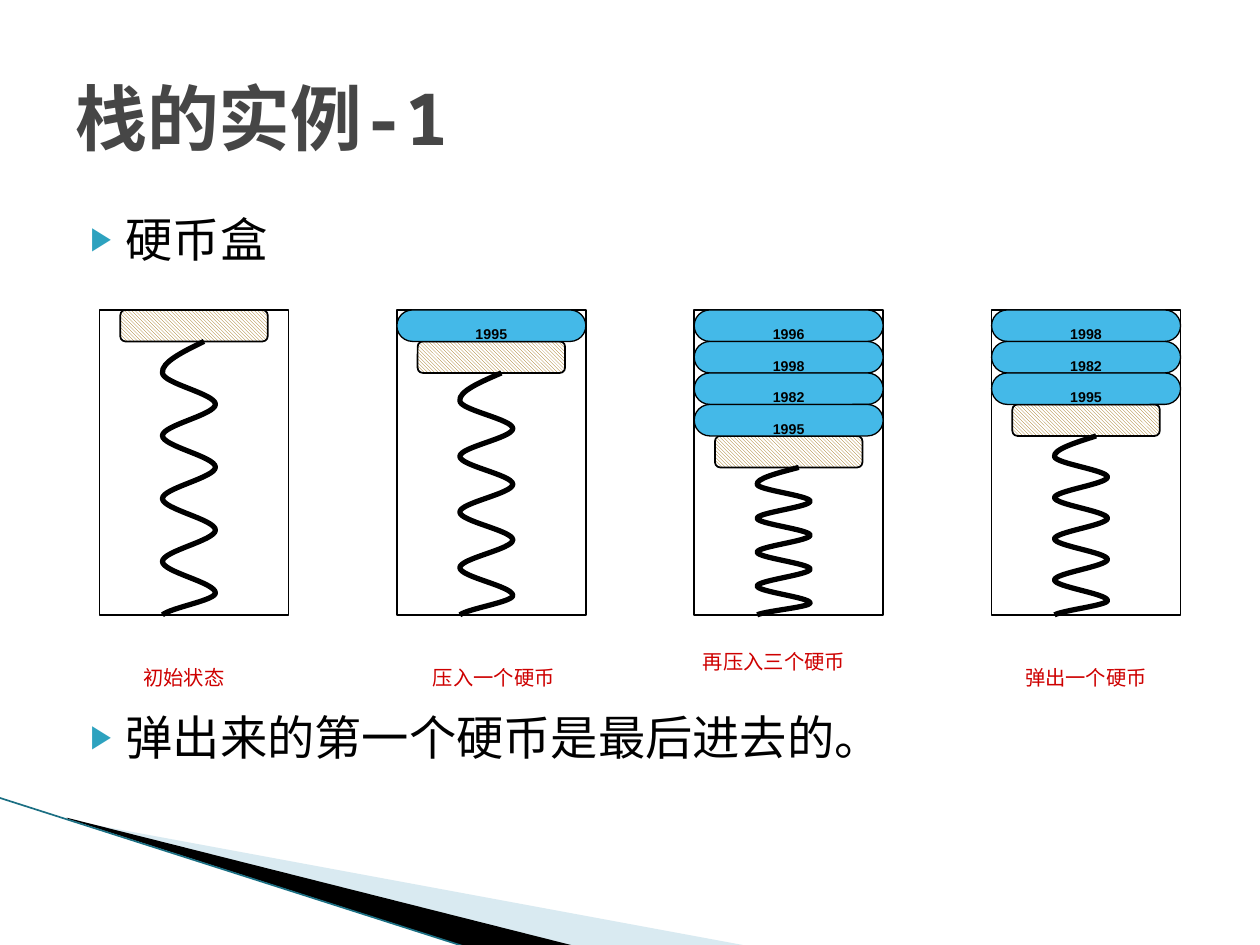
from dataclasses import dataclass

from lxml import etree
from pptx import Presentation
from pptx.dml.color import RGBColor
from pptx.enum.dml import MSO_PATTERN
from pptx.enum.shapes import MSO_CONNECTOR, MSO_SHAPE
from pptx.enum.text import MSO_ANCHOR, PP_ALIGN
from pptx.oxml.ns import qn
from pptx.util import Inches, Pt

RECTANGLE, ROUNDED = MSO_SHAPE.RECTANGLE, MSO_SHAPE.ROUNDED_RECTANGLE
STRAIGHT = MSO_CONNECTOR.STRAIGHT
HATCH = MSO_PATTERN.DARK_DOWNWARD_DIAGONAL
TOP, MIDDLE = MSO_ANCHOR.TOP, MSO_ANCHOR.MIDDLE
LEFT, CENTER = PP_ALIGN.LEFT, PP_ALIGN.CENTER

BLACK = RGBColor(0x00, 0x00, 0x00)
WHITE = RGBColor(0xFF, 0xFF, 0xFF)
GRAY = RGBColor(0x46, 0x46, 0x46)
RED = RGBColor(0xCE, 0x00, 0x00)
COIN_BLUE = RGBColor(0x44, 0xB9, 0xE8)
HATCH_BROWN = RGBColor(0x99, 0x66, 0x00)
PALE_BLUE = RGBColor(0xA0, 0xCB, 0xDC)
TEAL = RGBColor(0x1B, 0x6F, 0x83)
BULLET_TEAL = RGBColor(0x2D, 0xA2, 0xBF)

HEADING_FONT, LABEL_FONT = "Noto Sans Mono", "Arial"

# Coin box geometry in inches
FIRST_LEFT, BOX_STEP = 0.79, 2.36
BOX_TOP, BOX_WIDTH, BOX_HEIGHT = 2.46, 1.5, 2.42
COIN_HEIGHT, PLATE_WIDTH = 0.25, 1.17
SPRING_INSET = 0.49
SPRING_NEAR, SPRING_FAR = 0.01, 0.43
SPRING_TURN = 0.115  # share of the spring height in one half turn

Point = tuple[float, float]


@dataclass(frozen=True)
class Caption:
    text: str
    left: float
    width: float = 1.88
    top: float = 5.04
    height: float = 0.44


@dataclass(frozen=True)
class CoinBox:
    coins: tuple[str, ...]
    caption: Caption


COIN_BOXES = (
    CoinBox((), Caption("初始状态", 0.8, 1.32)),
    CoinBox(("1995",), Caption("压入一个硬币", 2.98)),
    CoinBox(("1996", "1998", "1982", "1995"),
            Caption("再压入三个硬币", 5.06, 2.17, 4.92, 0.77)),
    CoinBox(("1998", "1982", "1995"), Caption("弹出一个硬币", 7.68)),
)


def write_text(para, text: str, *, size: float, font: str, color: RGBColor,
               bold: bool = False, align=LEFT, subscript: bool = False) -> None:
    para.alignment = align
    span = para.add_run()
    span.text = text
    span.font.size, span.font.name = Pt(size), font
    span.font.bold, span.font.color.rgb = bold, color
    if subscript:
        span.font._element.set("baseline", "-25000")


def prepare_frame(shape, wrap: bool = True, anchor=TOP):
    frame = shape.text_frame
    frame.word_wrap, frame.vertical_anchor = wrap, anchor
    return frame


def add_text_box(page, left: float, top: float, width: float, height: float, **layout):
    box = page.shapes.add_textbox(Inches(left), Inches(top), Inches(width), Inches(height))
    return prepare_frame(box, **layout)


def write_bullet(para, text: str, space_before: float) -> None:
    write_text(para, text, size=27, font=HEADING_FONT, color=BLACK)
    para.space_before = Pt(space_before)
    settings = para._p.get_or_add_pPr()
    settings.set("marL", str(Inches(0.4)))
    settings.set("indent", str(Inches(-0.28)))
    color = etree.SubElement(settings, qn("a:buClr"))
    etree.SubElement(color, qn("a:srgbClr"), val=str(BULLET_TEAL))
    etree.SubElement(settings, qn("a:buSzPct"), val="68000")
    etree.SubElement(settings, qn("a:buFont"), typeface=LABEL_FONT)
    etree.SubElement(settings, qn("a:buChar"), char="▶")


def add_outline(page, points: list[Point], close: bool):
    corners = [(Inches(x), Inches(y)) for x, y in points]
    builder = page.shapes.build_freeform(*corners[0])
    builder.add_line_segments(corners[1:], close=close)
    shape = builder.convert_to_shape()
    shape.shadow.inherit = False
    return shape


def curve_segments(shape) -> None:
    """Turn every three line segments into one cubic curve."""
    lines = list(shape._element.iter(qn("a:lnTo")))
    for first in range(0, len(lines), 3):
        curve = etree.Element(qn("a:cubicBezTo"))
        lines[first].addprevious(curve)
        for line in lines[first:first + 3]:
            curve.append(line[0])
            line.getparent().remove(line)


def add_wedge(page, points: list[Point], color: RGBColor):
    wedge = add_outline(page, points, close=True)
    wedge.fill.solid()
    wedge.fill.fore_color.rgb = color
    wedge.line.fill.background()
    return wedge


def add_block(page, kind, left: float, top: float, width: float, height: float,
              fill: RGBColor, line_width: float = 1):
    block = page.shapes.add_shape(kind, Inches(left), Inches(top), Inches(width), Inches(height))
    block.shadow.inherit = False
    block.fill.solid()
    block.fill.fore_color.rgb = fill
    block.line.color.rgb = BLACK
    block.line.width = Pt(line_width)
    return block


def add_spring(page, left: float, top: float, height: float) -> None:
    """Draw half turns as cubic curves from the plate to the floor."""
    near, far = SPRING_NEAR, SPRING_FAR
    turns = [(0.17, 0, near)]
    turns += [(near, far, far), (far, near, near)] * 3
    turns += [(near, far, far), (far, 0.08, near)]
    stops = [height * SPRING_TURN * turn for turn in range(len(turns))] + [height]
    points = [(left + 0.34, top)]
    for turn, start, end in zip(turns, stops, stops[1:]):
        points += [(left + x, top + start + (end - start) * third / 3)
                   for third, x in enumerate(turn, start=1)]
    spring = add_outline(page, points, close=False)
    curve_segments(spring)
    spring.fill.background()
    spring.line.color.rgb = BLACK
    spring.line.width = Pt(3)


def add_coin_box(page, left: float, coins: tuple[str, ...]) -> None:
    add_block(page, RECTANGLE, left, BOX_TOP, BOX_WIDTH, BOX_HEIGHT, WHITE)
    plate_top = BOX_TOP + len(coins) * COIN_HEIGHT
    plate_left = left + (BOX_WIDTH - PLATE_WIDTH) / 2
    plate = add_block(page, ROUNDED, plate_left, plate_top, PLATE_WIDTH, COIN_HEIGHT, WHITE)
    plate.fill.patterned()
    plate.fill.pattern = HATCH
    plate.fill.fore_color.rgb = HATCH_BROWN
    plate.fill.back_color.rgb = WHITE
    spring_top = plate_top + COIN_HEIGHT
    add_spring(page, left + SPRING_INSET, spring_top, BOX_TOP + BOX_HEIGHT - spring_top)
    for row, year in enumerate(coins):
        coin = add_block(page, ROUNDED, left, BOX_TOP + row * COIN_HEIGHT,
                         BOX_WIDTH, COIN_HEIGHT, COIN_BLUE, 0.75)
        coin.adjustments[0] = 0.5
        frame = prepare_frame(coin, wrap=False, anchor=MIDDLE)
        write_text(frame.paragraphs[0], year, size=14, font=LABEL_FONT, color=BLACK,
                   bold=True, align=CENTER, subscript=True)


def add_caption(page, caption: Caption) -> None:
    frame = add_text_box(page, caption.left, caption.top, caption.width, caption.height,
                         wrap=False)
    write_text(frame.paragraphs[0], caption.text, size=20, font=LABEL_FONT, color=RED,
               align=CENTER, subscript=True)


def add_background(page) -> None:
    pale = add_wedge(page, [(0.55, 6.51), (5.95, 7.51), (4.56, 7.51), (0.55, 6.5)], PALE_BLUE)
    color = pale._element.spPr.find(qn("a:solidFill"))[0]
    etree.SubElement(color, qn("a:alpha"), val="40000")
    add_wedge(page, [(0.53, 6.49), (4.57, 7.51), (3.72, 7.52), (0.54, 6.5)], BLACK)
    edge = page.shapes.add_connector(STRAIGHT, Inches(-0.01), Inches(6.33),
                                     Inches(3.71), Inches(7.52))
    edge.line.color.rgb = TEAL
    edge.line.width = Pt(0.95)
    etree.SubElement(edge._element.spPr, qn("a:effectLst"))


def main() -> None:
    deck = Presentation()
    deck.slide_width, deck.slide_height = Inches(10), Inches(7.5)
    page = deck.slides.add_slide(deck.slide_layouts[6])
    add_background(page)

    # Bullets above and below the coin boxes, and the title
    body = add_text_box(page, 0.5, 1.62, 9, 4.95)
    write_bullet(body.paragraphs[0], "硬币盒", 4)
    write_bullet(body.add_paragraph(), "弹出来的第一个硬币是最后进去的。", 252)
    title = add_text_box(page, 0.5, 0.3, 9, 1.25, anchor=MIDDLE)
    write_text(title.paragraphs[0], "栈的实例-1", size=41, font=HEADING_FONT,
               color=GRAY, bold=True)

    # Coin boxes, then their captions
    for column, box in enumerate(COIN_BOXES):
        add_coin_box(page, FIRST_LEFT + column * BOX_STEP, box.coins)
    for box in COIN_BOXES:
        add_caption(page, box.caption)
    deck.save("out.pptx")


if __name__ == "__main__":
    main()
